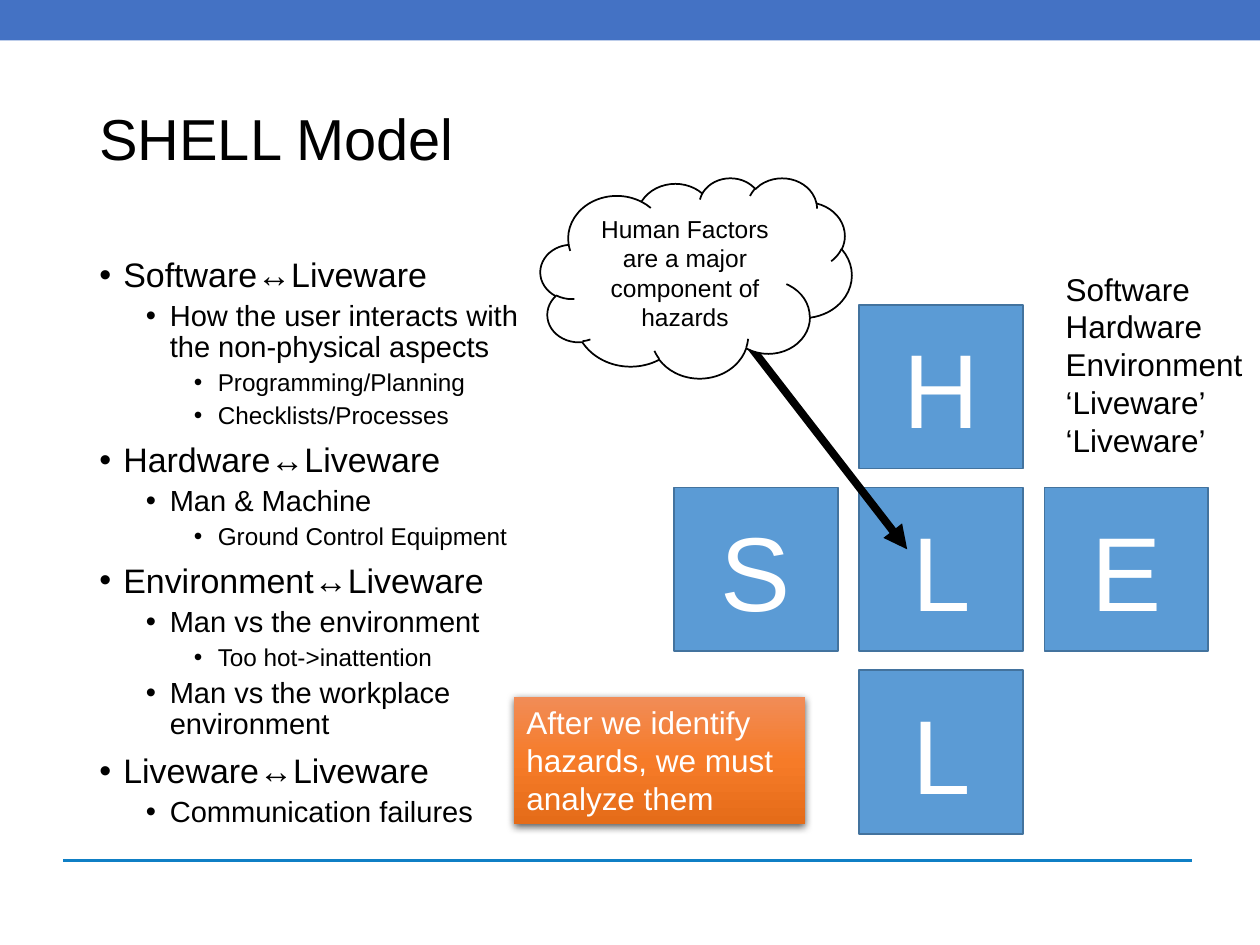
from lxml import etree
from pptx import Presentation
from pptx.dml.color import RGBColor
from pptx.enum.shapes import MSO_CONNECTOR, MSO_SHAPE
from pptx.enum.text import MSO_ANCHOR, PP_ALIGN
from pptx.oxml import parse_xml
from pptx.oxml.ns import nsdecls, qn
from pptx.util import Inches, Pt

RECT = MSO_SHAPE.RECTANGLE
CLOUD = MSO_SHAPE.CLOUD
STRAIGHT = MSO_CONNECTOR.STRAIGHT
TOP = MSO_ANCHOR.TOP
MIDDLE = MSO_ANCHOR.MIDDLE
LEFT = PP_ALIGN.LEFT
CENTER = PP_ALIGN.CENTER

LEVELS = [(19.4, 7.5, 0.19), (16.6, 3.8, 0.56), (13.9, 3.8, 0.94)]
POINTS = [
    (0, "Software↔Liveware"),
    (1, "How the user interacts with the non-physical aspects"),
    (2, "Programming/Planning"),
    (2, "Checklists/Processes"),
    (0, "Hardware↔Liveware"),
    (1, "Man & Machine"),
    (2, "Ground Control Equipment"),
    (0, "Environment↔Liveware"),
    (1, "Man vs the environment"),
    (2, "Too hot->inattention"),
    (1, "Man vs the workplace environment"),
    (0, "Liveware↔Liveware"),
    (1, "Communication failures"),
]
TILES = [("H", 1, 0), ("L", 1, 1), ("L", 1, 2), ("S", 0, 1), ("E", 2, 1)]
WORDS = ["Software", "Hardware", "Environment", "‘Liveware’", "‘Liveware’"]


def color(code):
    return RGBColor.from_string(code)


def write(para, text, size, ink="000000"):
    run = para.add_run()
    run.text = text
    run.font.name = "Arial"
    run.font.size = Pt(size)
    run.font.color.rgb = color(ink)


def frame(shape, lines, size, ink="000000", align=LEFT, anchor=TOP):
    body = shape.text_frame
    body.word_wrap = True
    body.vertical_anchor = anchor
    for i, text in enumerate(lines):
        para = body.add_paragraph() if i else body.paragraphs[0]
        para.alignment = align
        write(para, text, size, ink)
    return body


def label(slide, box, lines, size, anchor=TOP):
    shape = slide.shapes.add_textbox(*map(Inches, box))
    return frame(shape, lines, size, anchor=anchor)


def block(slide, kind, box, fill=None, edge=None):
    shape = slide.shapes.add_shape(kind, *map(Inches, box))
    if fill:
        shape.fill.solid()
        shape.fill.fore_color.rgb = color(fill)
    if edge:
        shape.line.color.rgb = color(edge)
        shape.line.width = Pt(1)
    else:
        shape.line.fill.background()
    shape.shadow.inherit = False
    return shape


def rule(slide, start, end, ink, width, arrow=False):
    line = slide.shapes.add_connector(STRAIGHT, *map(Inches, start + end))
    line.line.color.rgb = color(ink)
    line.line.width = Pt(width)
    props = line._element.spPr
    if arrow:
        tail = etree.SubElement(props.find(qn("a:ln")), qn("a:tailEnd"))
        tail.set("type", "triangle")
    etree.SubElement(props, qn("a:effectLst"))


def add_points(slide, box):
    body = slide.shapes.add_textbox(*map(Inches, box)).text_frame
    body.word_wrap = True
    for i, (level, text) in enumerate(POINTS):
        size, before, indent = LEVELS[level]
        para = body.add_paragraph() if i else body.paragraphs[0]
        para.level = level
        para.line_spacing = 0.9
        if i:
            para.space_before = Pt(before)
        props = para._p.get_or_add_pPr()
        props.set("marL", str(Inches(indent)))
        props.set("indent", str(Inches(-0.19)))
        font = etree.SubElement(props, qn("a:buFont"))
        font.set("typeface", "Arial")
        mark = etree.SubElement(props, qn("a:buChar"))
        mark.set("char", "•")
        write(para, text, size)


def add_tiles(slide, left, top):
    side, across, down = 1.3, 1.47, 1.45
    for letter, col, row in TILES:
        box = (left + col * across, top + row * down, side, side)
        tile = block(slide, RECT, box, "5B9BD5", "43739E")
        frame(tile, [letter], 60, "FFFFFF", CENTER, MIDDLE)


def add_cloud(slide, box):
    left, top, width, height = box
    rule(slide, (left + 1.41, top + 1.01), (left + 2.91, top + 2.95),
         "000000", 4.5, True)
    cloud = block(slide, CLOUD, box, "FFFFFF", "000000")
    text = "Human Factors are a major component of hazards"
    frame(cloud, [text], 14, align=CENTER)


def add_note(slide, box):
    note = block(slide, RECT, box)
    stops = [(0, "F18C57"), (50, "F67B28"), (100, "E56C19")]
    marks = "".join(
        f'<a:gs pos="{spot * 1000}"><a:srgbClr val="{code}"/></a:gs>'
        for spot, code in stops)
    props = note._element.spPr
    props.find(qn("a:prstGeom")).addnext(parse_xml(
        f'<a:gradFill {nsdecls("a")} rotWithShape="1"><a:gsLst>{marks}</a:gsLst>'
        '<a:lin ang="5400000" scaled="0"/></a:gradFill>'))
    props.find(qn("a:effectLst")).append(parse_xml(
        f'<a:outerShdw {nsdecls("a")} blurRad="{Pt(4.5)}" dist="{Pt(1.5)}" '
        'dir="5400000" algn="ctr" rotWithShape="0"><a:srgbClr val="000000">'
        '<a:alpha val="63000"/></a:srgbClr></a:outerShdw>'))
    text = "After we identify hazards, we must analyze them"
    frame(note, [text], 18, "FFFFFF")


def main():
    deck = Presentation()
    deck.slide_width = Inches(10)
    deck.slide_height = Inches(7.5)
    slide = deck.slides.add_slide(deck.slide_layouts[6])
    rule(slide, (0.5, 6.83), (9.46, 6.83), "0F7FC5", 1.5)
    block(slide, RECT, (0, 0, 10, 0.32), "4472C4")
    title = label(slide, (0.69, 0.4, 8.62, 1.45), ["SHELL Model"], 33, MIDDLE)
    title.paragraphs[0].line_spacing = 0.9
    add_points(slide, (0.69, 2, 3.74, 4.76))
    add_tiles(slide, 5.35, 2.42)
    label(slide, (8.36, 2.09, 2.16, 1.62), WORDS, 18)
    add_cloud(slide, (4.29, 1.41, 2.47, 1.59))
    add_note(slide, (4.08, 5.53, 2.31, 1.01))
    deck.save("out.pptx")


if __name__ == "__main__":
    main()
